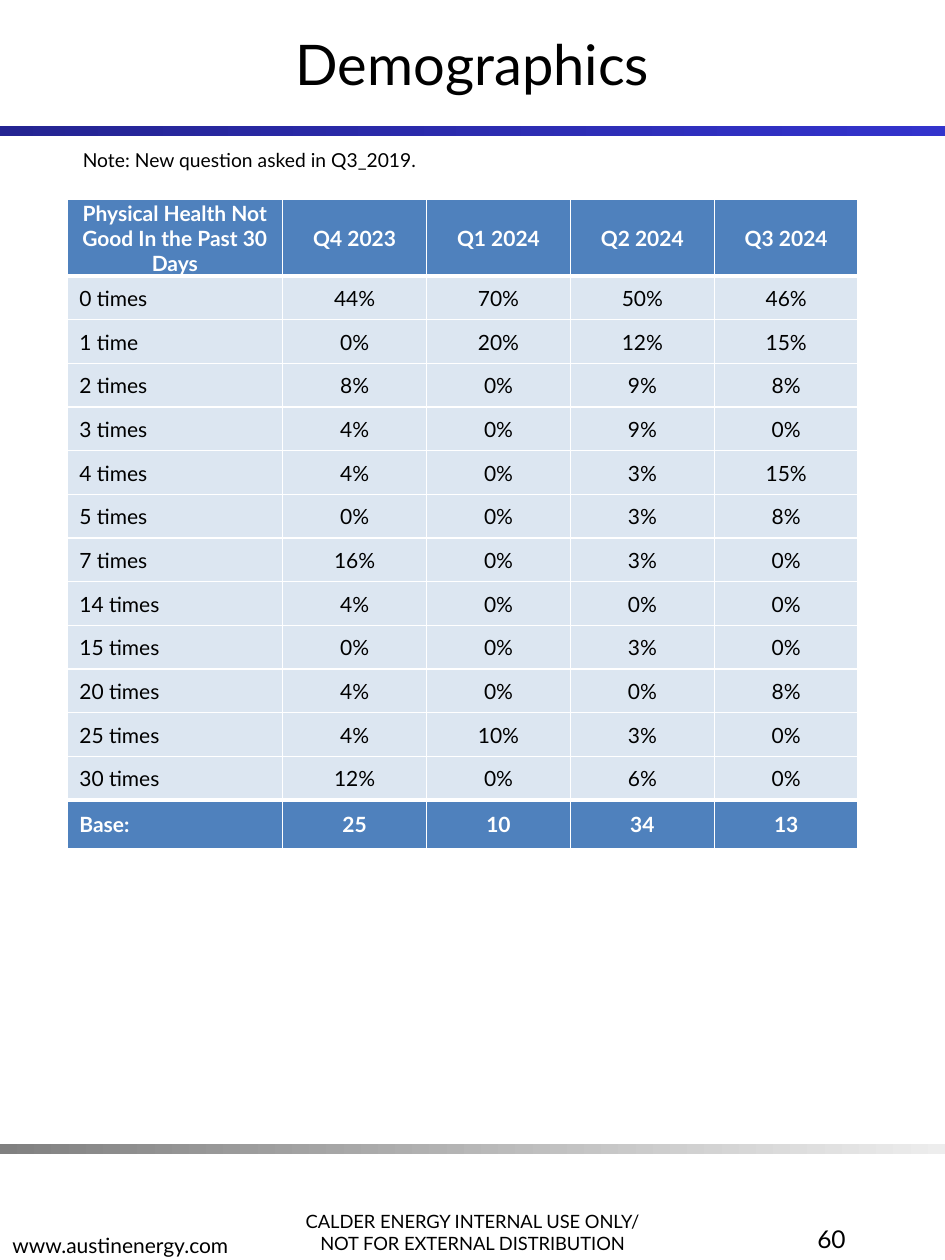
import pptx
import pptx.dml.color
import pptx.enum.shapes
import pptx.enum.text
import pptx.oxml
import pptx.oxml.ns
from pptx.util import Cm, Pt

RGBColor = pptx.dml.color.RGBColor
Align = pptx.enum.text.PP_ALIGN
Anchor = pptx.enum.text.MSO_ANCHOR

FONT = "Lato"
BLACK = RGBColor(0x00, 0x00, 0x00)
WHITE = RGBColor(0xFF, 0xFF, 0xFF)
HEADER_BLUE = RGBColor(0x4F, 0x81, 0xBD)
BODY_BLUE = RGBColor(0xDC, 0xE6, 0xF1)
NAVY = RGBColor(0x24, 0x24, 0x92)
BRIGHT_BLUE = RGBColor(0x33, 0x33, 0xCC)
DARK_GREY = RGBColor(0x80, 0x80, 0x80)
LIGHT_GREY = RGBColor(0xED, 0xED, 0xED)

SLIDE_WIDTH = Cm(19.05)
COLUMN_WIDTHS = [Cm(4.35)] + [Cm(2.9)] * 4
THIN, THICK = Pt(1), Pt(3)

HEADER = ["Physical Health Not Good In the Past 30 Days",
          "Q4 2023", "Q1 2024", "Q2 2024", "Q3 2024"]
SHARES = [
    ("0 times", 44, 70, 50, 46),
    ("1 time", 0, 20, 12, 15),
    ("2 times", 8, 0, 9, 8),
    ("3 times", 4, 0, 9, 0),
    ("4 times", 4, 0, 3, 15),
    ("5 times", 0, 0, 3, 8),
    ("7 times", 16, 0, 3, 0),
    ("14 times", 4, 0, 0, 0),
    ("15 times", 0, 0, 3, 0),
    ("20 times", 4, 0, 0, 8),
    ("25 times", 4, 10, 3, 0),
    ("30 times", 12, 0, 6, 0),
]
BASE = ["Base:", "25", "10", "34", "13"]


def style_paragraph(para, size, color=BLACK, align=Align.LEFT, bold=False):
    para.alignment = align
    para.font.name = FONT
    para.font.size = Pt(size)
    para.font.bold = bold
    para.font.color.rgb = color


def add_title(slide, text):
    title = slide.shapes.title
    title.left, title.top, title.width, title.height = 0, 0, SLIDE_WIDTH, Cm(2.54)
    title.text_frame.text = text
    title.text_frame.vertical_anchor = Anchor.MIDDLE
    style_paragraph(title.text_frame.paragraphs[0], 32, align=Align.CENTER)


def add_gradient_bar(slide, top, start, end):
    bar = slide.shapes.add_shape(
        pptx.enum.shapes.MSO_SHAPE.RECTANGLE, 0, top, SLIDE_WIDTH, Cm(0.2))
    bar.shadow.inherit = False
    bar.line.fill.background()
    bar.fill.gradient()
    bar.fill.gradient_angle = 0
    for stop, color in zip(bar.fill.gradient_stops, (start, end)):
        stop.color.rgb = color


def add_text(slide, lines, left, top, width, height, size,
             align=Align.LEFT, anchor=Anchor.TOP):
    box = slide.shapes.add_textbox(left, top, width, height)
    frame = box.text_frame
    frame.word_wrap = True
    frame.vertical_anchor = anchor
    frame.text = "\n".join(lines)
    for para in frame.paragraphs:
        style_paragraph(para, size, align=align)


def set_borders(cell, top, bottom):
    """Draw white borders; call before the cell is filled."""
    properties = cell._tc.get_or_add_tcPr()
    for side, width in (("L", THIN), ("R", THIN), ("T", top), ("B", bottom)):
        properties.append(pptx.oxml.parse_xml(
            f'<a:ln{side} {pptx.oxml.ns.nsdecls("a")} w="{width}"><a:solidFill>'
            f'<a:srgbClr val="{WHITE}"/></a:solidFill></a:ln{side}>'))


def fill_cell(cell, text, emphasis, align, top, bottom):
    set_borders(cell, top, bottom)
    cell.fill.solid()
    cell.fill.fore_color.rgb = HEADER_BLUE if emphasis else BODY_BLUE
    cell.vertical_anchor = Anchor.MIDDLE
    cell.margin_left = Cm(0.25) if align == Align.LEFT else Cm(0.02)
    cell.margin_right = cell.margin_top = Cm(0.02)
    cell.margin_bottom = 0
    cell.text = text
    style_paragraph(cell.text_frame.paragraphs[0], 12,
                    WHITE if emphasis else BLACK, align, emphasis)


def add_health_table(slide):
    body = [[label] + [f"{share}%" for share in shares]
            for label, *shares in SHARES]
    rows = [HEADER] + body + [BASE]
    heights = [Cm(1.27)] + [Cm(0.88)] * len(body) + [Cm(0.98)]
    table = slide.shapes.add_table(
        len(rows), len(HEADER), Cm(1.35), Cm(4.02),
        sum(COLUMN_WIDTHS), sum(heights)).table
    table.horz_banding = False
    for column, width in zip(table.columns, COLUMN_WIDTHS):
        column.width = width
    last = len(rows) - 1
    for r, (texts, height) in enumerate(zip(rows, heights)):
        table.rows[r].height = height
        top = THICK if r in (1, last) else THIN
        bottom = THICK if r in (0, last - 1) else THIN
        for c, text in enumerate(texts):
            align = Align.LEFT if c == 0 and r > 0 else Align.CENTER
            fill_cell(table.cell(r, c), text, r in (0, last), align, top, bottom)


def main():
    deck = pptx.Presentation()
    deck.slide_width, deck.slide_height = SLIDE_WIDTH, Cm(25.4)
    slide = deck.slides.add_slide(deck.slide_layouts.get_by_name("Title Only"))

    add_gradient_bar(slide, Cm(2.54), NAVY, BRIGHT_BLUE)
    add_gradient_bar(slide, Cm(23.06), DARK_GREY, LIGHT_GREY)
    add_text(slide, ["CALDER ENERGY INTERNAL USE ONLY/",
                     "NOT FOR EXTERNAL DISTRIBUTION"],
             Cm(5.48), Cm(23.7), Cm(8.1), Cm(1.7), 10.5,
             Align.CENTER, Anchor.BOTTOM)
    add_text(slide, ["www.austinenergy.com"],
             0, Cm(23.77), Cm(8.1), Cm(1.7), 12, anchor=Anchor.BOTTOM)
    add_title(slide, "Demographics")
    add_text(slide, ["60"], Cm(13.34), Cm(24.56), Cm(3.96), Cm(1.7), 14,
             Align.RIGHT)
    add_health_table(slide)
    add_text(slide, ["Note: New question asked in Q3_2019."],
             Cm(1.42), Cm(2.87), Cm(16.36), Cm(0.74), 11)
    deck.save("out.pptx")


if __name__ == "__main__":
    main()
